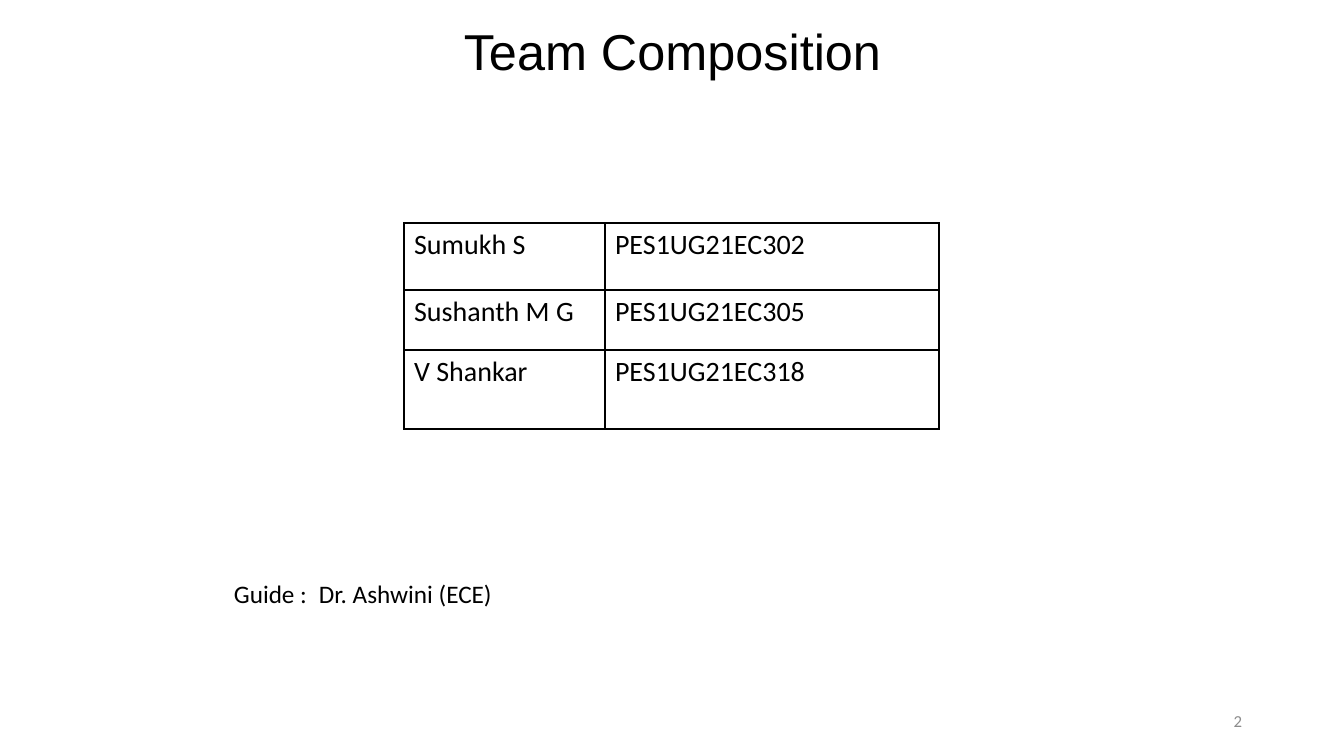
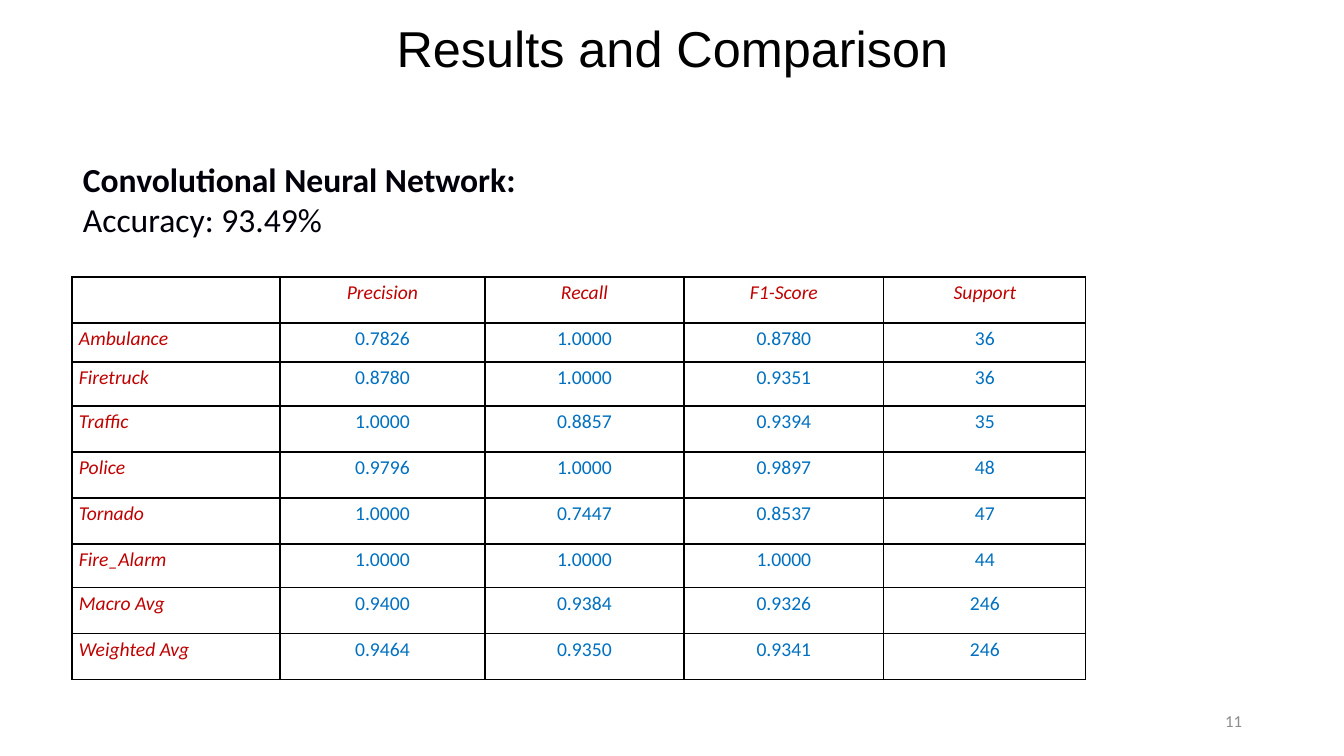
from lxml import etree
from pptx import Presentation
from pptx.dml import color
from pptx.enum import text
from pptx.oxml import ns
from pptx import util as u

PX = 914400 / 100.8
BLACK, GREY, RED, BLUE = "000000", "8C8C8C", "C00000", "0070C0"
INK = "00000A"
LEFT, CENTER, RIGHT = text.PP_ALIGN.LEFT, text.PP_ALIGN.CENTER, text.PP_ALIGN.RIGHT
TOP, MIDDLE = text.MSO_ANCHOR.TOP, text.MSO_ANCHOR.MIDDLE

TITLE = dict(name="Arial", size=36, bold=False, color=BLACK)
NUMBER = dict(name="Calibri", size=12, color=GREY)
GUIDE = dict(name="Calibri", size=18, color=BLACK)
MEMBER = dict(name="Calibri", size=20, bold=False, color=BLACK)
ACCURACY = dict(name="Calibri", size=24, bold=False, color=INK)
MODEL = dict(ACCURACY, bold=True)
LABEL = dict(name="Calibri", size=14, bold=False, italic=True, color=RED)
VALUE = dict(LABEL, italic=False, color=BLUE)
SPACED = dict(line_spacing=1.15, space_after=u.Pt(10))
TIGHT = dict(margin_left=7, margin_right=7, margin_top=0, margin_bottom=0)

MEMBERS = [
    ["Sumukh S", "PES1UG21EC302"],
    ["Sushanth M G", "PES1UG21EC305"],
    ["V Shankar", "PES1UG21EC318"],
]
SCORES = [
    ["", "Precision", "Recall", "F1-Score", "Support"],
    ["Ambulance", "0.7826", "1.0000", "0.8780", "36"],
    ["Firetruck", "0.8780", "1.0000", "0.9351", "36"],
    ["Traffic", "1.0000", "0.8857", "0.9394", "35"],
    ["Police", "0.9796", "1.0000", "0.9897", "48"],
    ["Tornado", "1.0000", "0.7447", "0.8537", "47"],
    ["Fire_Alarm", "1.0000", "1.0000", "1.0000", "44"],
    ["Macro Avg", "0.9400", "0.9384", "0.9326", "246"],
    ["Weighted Avg", "0.9464", "0.9350", "0.9341", "246"],
]


def px(n):
    return u.Emu(round(n * PX))


def rgb(value):
    return color.RGBColor.from_string(value)


def write(p, words, fmt, align=LEFT, **spacing):
    p.alignment = align
    for key, value in spacing.items():
        setattr(p, key, value)
    font = p.add_run().font if words else p.font
    if words:
        p.runs[0].text = words
    for key, value in fmt.items():
        if key == "color":
            font.color.rgb = rgb(value)
        else:
            setattr(font, key, u.Pt(value) if key == "size" else value)


def add_text(s, box, lines, align=LEFT, anchor=TOP):
    tf = s.shapes.add_textbox(*map(px, box)).text_frame
    tf.word_wrap = True
    tf.vertical_anchor = anchor
    for i, (words, fmt) in enumerate(lines):
        write(tf.add_paragraph() if i else tf.paragraphs[0], words, fmt, align)
    return tf


def add_tab(p, x):
    tabs = etree.SubElement(p._p.get_or_add_pPr(), ns.qn("a:tabLst"))
    etree.SubElement(tabs, ns.qn("a:tab"), pos=str(px(x)), algn="l")


def add_borders(cell, width):
    tcPr = cell._tc.get_or_add_tcPr()
    for i, side in enumerate("LRTB"):
        ln = etree.Element(ns.qn("a:ln" + side), w=str(u.Pt(width)))
        fill = etree.SubElement(ln, ns.qn("a:solidFill"))
        etree.SubElement(fill, ns.qn("a:srgbClr"), val=BLACK)
        tcPr.insert(i, ln)


def add_grid(s, origin, widths, heights, rows, border, style, margins):
    box = (*origin, sum(widths), sum(heights))
    table = s.shapes.add_table(len(rows), len(widths), *map(px, box)).table
    table.first_row = table.horz_banding = False
    for column, width in zip(table.columns, widths):
        column.width = px(width)
    for row, height in zip(table.rows, heights):
        row.height = px(height)
    for i, row in enumerate(rows):
        for j, words in enumerate(row):
            cell = table.cell(i, j)
            cell.fill.background()
            add_borders(cell, border)
            for key, value in margins.items():
                setattr(cell, key, px(value))
            write(cell.text_frame.paragraphs[0], words, **style(i, j))


def member_style(i, j):
    return dict(fmt=MEMBER)


def score_style(i, j):
    return dict(fmt=VALUE if i and j else LABEL, align=CENTER if j else LEFT, **SPACED)


def add_slide(prs, title, title_height, number):
    s = prs.slides.add_slide(prs.slide_layouts[5])
    sp = s.shapes.title
    sp.left, sp.top, sp.width, sp.height = map(px, (244, 0, 857, title_height))
    tf = sp.text_frame
    tf.auto_size = text.MSO_AUTO_SIZE.NONE
    tf.vertical_anchor = MIDDLE
    write(tf.paragraphs[0], title, TITLE, CENTER)
    add_text(s, (950, 701, 302, 40), [(number, NUMBER)], RIGHT, MIDDLE)
    return s


def team_slide(prs):
    s = add_slide(prs, "Team Composition", 100, "2")
    add_grid(s, (404, 223), (201, 334), (67, 60, 79), MEMBERS, 0.96, member_style, {})
    tf = add_text(s, (224, 573, 672, 40), [("Guide :\tDr. Ashwini (ECE)", GUIDE)])
    add_tab(tf.paragraphs[0], 85)


def results_slide(prs):
    s = add_slide(prs, "Results and Comparison", 95, "11")
    lines = [("Convolutional Neural Network:", MODEL), ("Accuracy: 93.49%", ACCURACY)]
    add_text(s, (73, 154, 458, 92), lines)
    widths = (208, 205, 199, 200, 202)
    heights = (46, 39, 44, 46, 46, 46, 44, 46, 46)
    add_grid(s, (72, 277), widths, heights, SCORES, 1, score_style, TIGHT)


def main():
    prs = Presentation()
    prs.slide_width, prs.slide_height = px(1344), px(756)
    team_slide(prs)
    results_slide(prs)
    prs.save("out.pptx")


if __name__ == "__main__":
    main()
